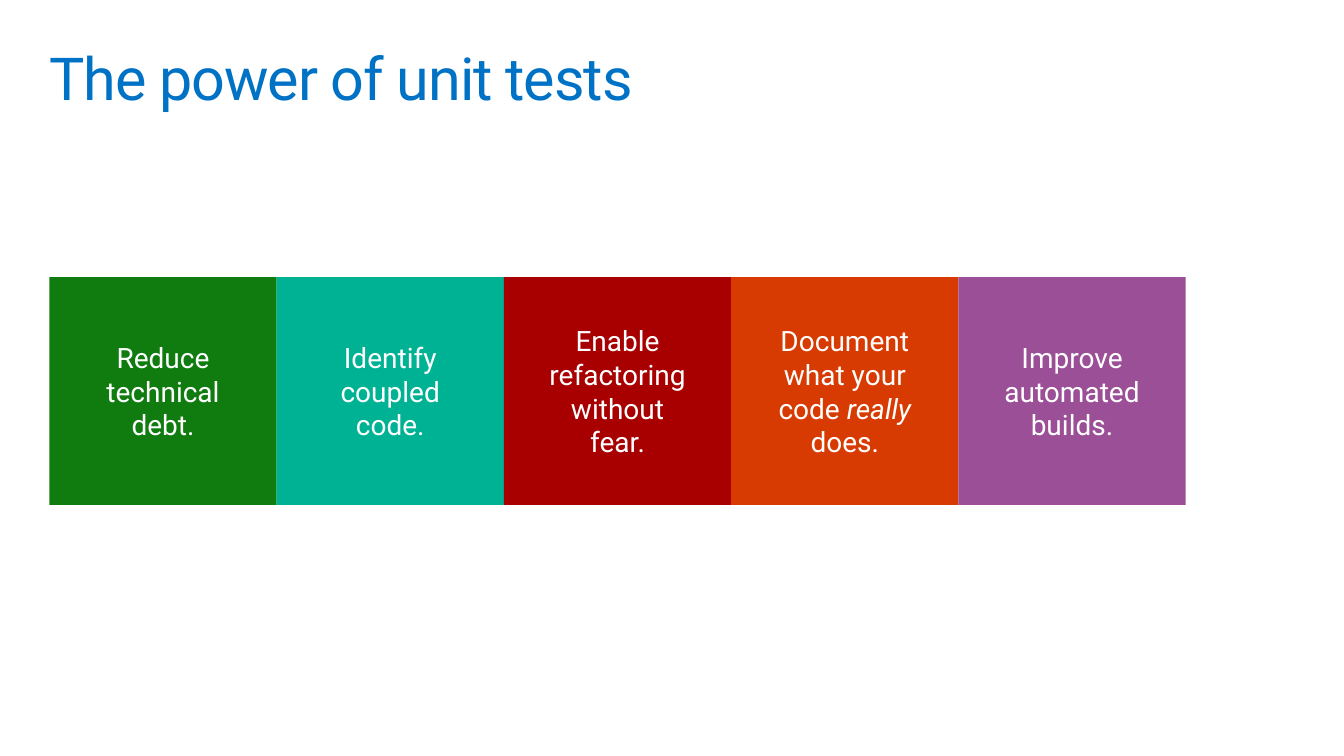
"""Build a slide that lists the benefits of unit tests as a row of tiles."""
from pptx import Presentation
from pptx.dml.color import RGBColor
from pptx.enum.shapes import MSO_SHAPE
from pptx.enum.text import MSO_ANCHOR, MSO_AUTO_SIZE, PP_ALIGN
from pptx.util import Inches, Pt

RECTANGLE = MSO_SHAPE.RECTANGLE
TOP, MIDDLE = MSO_ANCHOR.TOP, MSO_ANCHOR.MIDDLE
LEFT, CENTER = PP_ALIGN.LEFT, PP_ALIGN.CENTER
NO_AUTOFIT = MSO_AUTO_SIZE.NONE
TITLE_ONLY = 5
FONT = "Roboto"
COLORS = {
    "title": "0072C6",
    "text": "FFFFFF",
    "green": "107C10",
    "teal": "00B294",
    "red": "A80000",
    "orange": "D83B01",
    "purple": "9B4F96",
}
BENEFITS = [
    ("green", ["Reduce technical debt."]),
    ("teal", ["Identify coupled code."]),
    ("red", ["Enable refactoring without fear."]),
    ("orange", ["Document what your code ", "really", " does."]),
    ("purple", ["Improve automated builds."]),
]
ROW_LEFT, ROW_RIGHT, ROW_TOP, TILE_HEIGHT = 0.49, 11.76, 2.75, 2.26


def color(name):
    """Return the named colour."""
    return RGBColor.from_string(COLORS[name])


def format_frame(text_frame, anchor, side_inset):
    """Set wrapping, anchor and insets of a text frame."""
    text_frame.word_wrap = True
    text_frame.auto_size = NO_AUTOFIT
    text_frame.vertical_anchor = anchor
    text_frame.margin_left = text_frame.margin_right = Inches(side_inset)
    text_frame.margin_top = text_frame.margin_bottom = Inches(0.1)


def format_run(run, size, color_name):
    """Set the font, size and colour of a run."""
    run.font.name = FONT
    run.font.size = Pt(size)
    run.font.color.rgb = color(color_name)


def set_title(slide, text):
    """Fill, place and format the title placeholder."""
    title = slide.shapes.title
    title.left, title.top = Inches(0.39), Inches(0.39)
    title.width, title.height = Inches(12.55), Inches(0.88)
    title.text_frame.text = text
    format_frame(title.text_frame, TOP, 0.1)
    paragraph = title.text_frame.paragraphs[0]
    paragraph.alignment = LEFT
    paragraph.line_spacing = 0.9
    run = paragraph.runs[0]
    format_run(run, 42.3, "title")
    run.font._element.set("spc", "-70")


def add_tile(slide, left, width, fill, parts):
    """Add a coloured tile, with every second part of its text in italics."""
    tile = slide.shapes.add_shape(
        RECTANGLE, Inches(left), Inches(ROW_TOP), Inches(width), Inches(TILE_HEIGHT)
    )
    tile.shadow.inherit = False
    tile.fill.solid()
    tile.fill.fore_color.rgb = color(fill)
    tile.line.fill.background()
    format_frame(tile.text_frame, MIDDLE, 0.4)
    paragraph = tile.text_frame.paragraphs[0]
    paragraph.alignment = CENTER
    for index, part in enumerate(parts):
        run = paragraph.add_run()
        run.text = part
        format_run(run, 20, "text")
        run.font.italic = index % 2 == 1


def main():
    """Build and save the presentation."""
    presentation = Presentation()
    presentation.slide_width = Inches(13.33)
    presentation.slide_height = Inches(7.5)
    slide = presentation.slides.add_slide(presentation.slide_layouts[TITLE_ONLY])
    set_title(slide, "The power of unit tests")
    tile_width = (ROW_RIGHT - ROW_LEFT) / len(BENEFITS)
    for index, (fill, parts) in enumerate(BENEFITS):
        add_tile(slide, ROW_LEFT + index * tile_width, tile_width, fill, parts)
    presentation.save("out.pptx")


if __name__ == "__main__":
    main()
